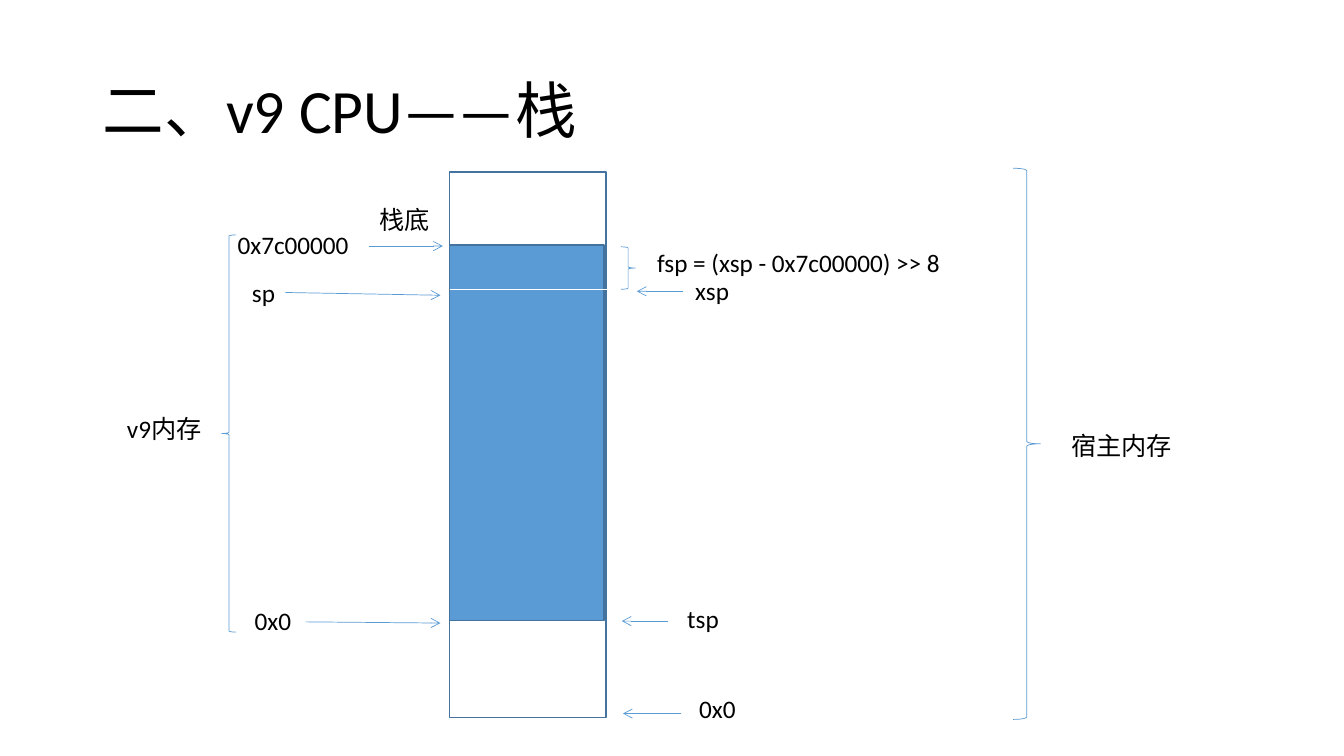
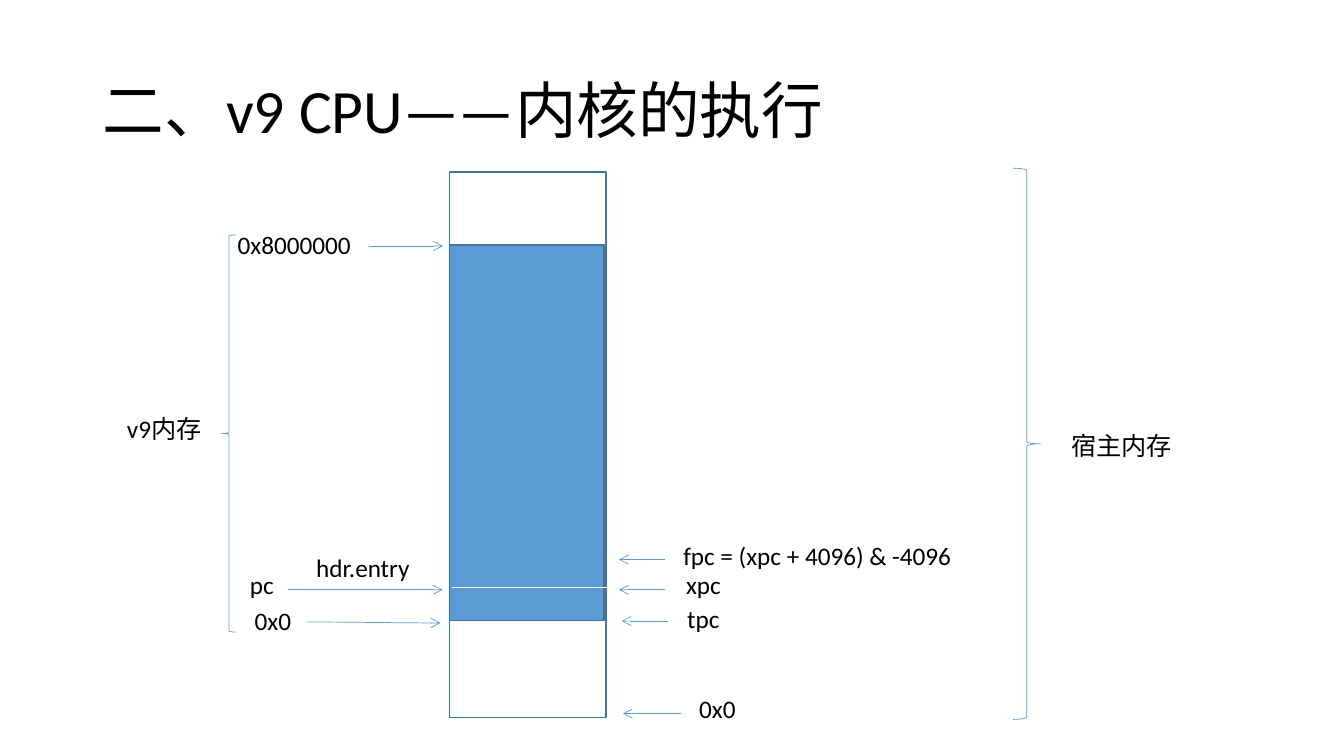
from pptx import Presentation
from pptx.dml.color import RGBColor
from pptx.enum.shapes import MSO_CONNECTOR, MSO_SHAPE as SHAPE
from pptx.enum.text import MSO_ANCHOR, MSO_AUTO_SIZE, PP_ALIGN
from pptx.oxml.ns import qn
from pptx.util import Cm, Pt
from lxml.etree import SubElement

COLORS = {"text": "000000", "memory": "5B9BD5", "edge": "43739E", "divider": "FFFFFF"}
FONT = "Calibri"


def rgb(name):
    return RGBColor.from_string(COLORS[name])


class Deck:
    def __init__(self):
        self.prs = Presentation()
        self.prs.slide_width, self.prs.slide_height = Cm(33.87), Cm(19.05)
        self.s = None

    def style_text(self, tf, text, size):
        tf.text = text
        tf.word_wrap = True
        p = tf.paragraphs[0]
        p.alignment = PP_ALIGN.LEFT
        for r in p.runs:
            r.font.name, r.font.size = FONT, Pt(size)
            r.font.color.rgb = rgb("text")
        return p

    def slide(self, title):
        self.s = self.prs.slides.add_slide(self.prs.slide_layouts[5])
        sp = self.s.shapes.title
        sp.left, sp.top, sp.width, sp.height = Cm(2.34), Cm(1.02), Cm(29.21), Cm(3.68)
        tf = sp.text_frame
        self.style_text(tf, title, 44).line_spacing = 0.9
        tf.vertical_anchor = MSO_ANCHOR.MIDDLE
        tf.auto_size = MSO_AUTO_SIZE.NONE

    def label(self, text, x, y, w):
        sp = self.s.shapes.add_textbox(Cm(x), Cm(y), Cm(w), Cm(1.07))
        self.style_text(sp.text_frame, text, 18)
        sp.text_frame.auto_size = MSO_AUTO_SIZE.SHAPE_TO_FIT_TEXT

    def shape(self, kind, x, y, w, h, fill=None, line="memory", weight=0.5):
        sp = self.s.shapes.add_shape(kind, Cm(x), Cm(y), Cm(w), Cm(h))
        sp.shadow.inherit = False
        if fill:
            sp.fill.solid()
            sp.fill.fore_color.rgb = rgb(fill)
        else:
            sp.fill.background()
        sp.line.color.rgb = rgb(line)
        sp.line.width = Pt(weight)

    def line(self, x1, y1, x2, y2, color="memory", arrow=False):
        c = self.s.shapes.add_connector(
            MSO_CONNECTOR.STRAIGHT, Cm(x1), Cm(y1), Cm(x2), Cm(y2))
        c.line.color.rgb = rgb(color)
        c.line.width = Pt(0.5)
        props = c._element.spPr
        if arrow:
            SubElement(props.find(qn("a:ln")), qn("a:tailEnd"), type="arrow")
        SubElement(props, qn("a:effectLst"))

    def arrow(self, x1, y1, x2, y2):
        self.line(x1, y1, x2, y2, arrow=True)

    def memory_map(self, title, top_address, text_pointer):
        self.slide(title)
        self.shape(SHAPE.RECTANGLE, 11.33, 6.17, 3.89, 9.47, "memory", "edge", 1)
        self.shape(SHAPE.RECTANGLE, 11.33, 4.34, 3.94, 13.74, None, "edge", 1)
        self.shape(SHAPE.LEFT_BRACE, 5.59, 5.92, 0.36, 10.01)
        self.shape(SHAPE.RIGHT_BRACE, 25.53, 4.24, 0.69, 13.89)
        self.label("v9内存", 2.95, 10.29, 2.46)
        self.label("宿主内存", 26.75, 10.72, 3.1)
        self.label(top_address, 5.74, 5.66, 3.58)
        self.arrow(9.3, 6.2, 11.16, 6.2)
        self.label("0x0", 6.17, 15.14, 1.54)
        self.arrow(7.7, 15.67, 11.1, 15.7)
        self.label(text_pointer, 17.07, 15.09, 1.38)
        self.arrow(16.84, 15.65, 15.67, 15.65)
        self.label("0x0", 17.37, 17.35, 1.65)
        self.arrow(17.17, 17.98, 15.7, 17.98)


deck = Deck()

deck.memory_map("二、v9 CPU——栈", "0x7c00000", "tsp")
deck.line(11.33, 7.29, 15.32, 7.29, "divider")
deck.label("栈底", 9.32, 5.03, 2.29)
deck.label("sp", 6.1, 6.86, 1.15)
deck.arrow(7.19, 7.37, 11.1, 7.44)
deck.label("xsp", 17.27, 6.81, 1.45)
deck.arrow(17.22, 7.34, 16.05, 7.34)
deck.label("fsp = (xsp - 0x7c00000) >> 8", 16.31, 6.12, 9.42)
deck.shape(SHAPE.RIGHT_BRACE, 15.65, 6.22, 0.36, 1.07)

deck.memory_map("二、v9 CPU——内核的执行", "0x8000000", "tpc")
deck.line(11.38, 14.81, 15.37, 14.81, "divider")
deck.label("hdr.entry", 7.72, 13.79, 3.15)
deck.label("pc", 6.05, 14.22, 1.17)
deck.arrow(7.26, 14.86, 11.15, 14.86)
deck.label("xpc", 17.04, 14.22, 1.47)
deck.label("fpc = (xpc + 4096) & -4096", 16.97, 13.49, 8.64)
for y in (14.1, 14.86):
    deck.arrow(16.76, y, 15.6, y)

deck.prs.save("out.pptx")
